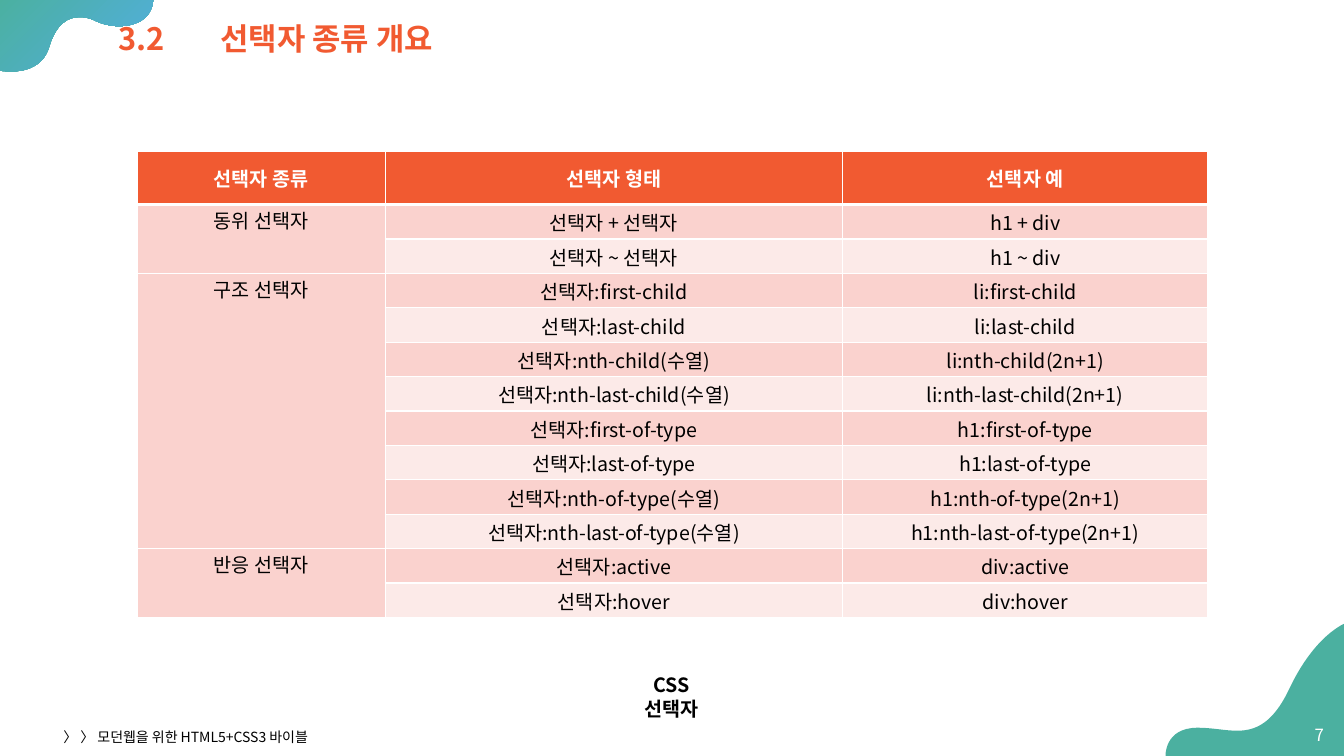
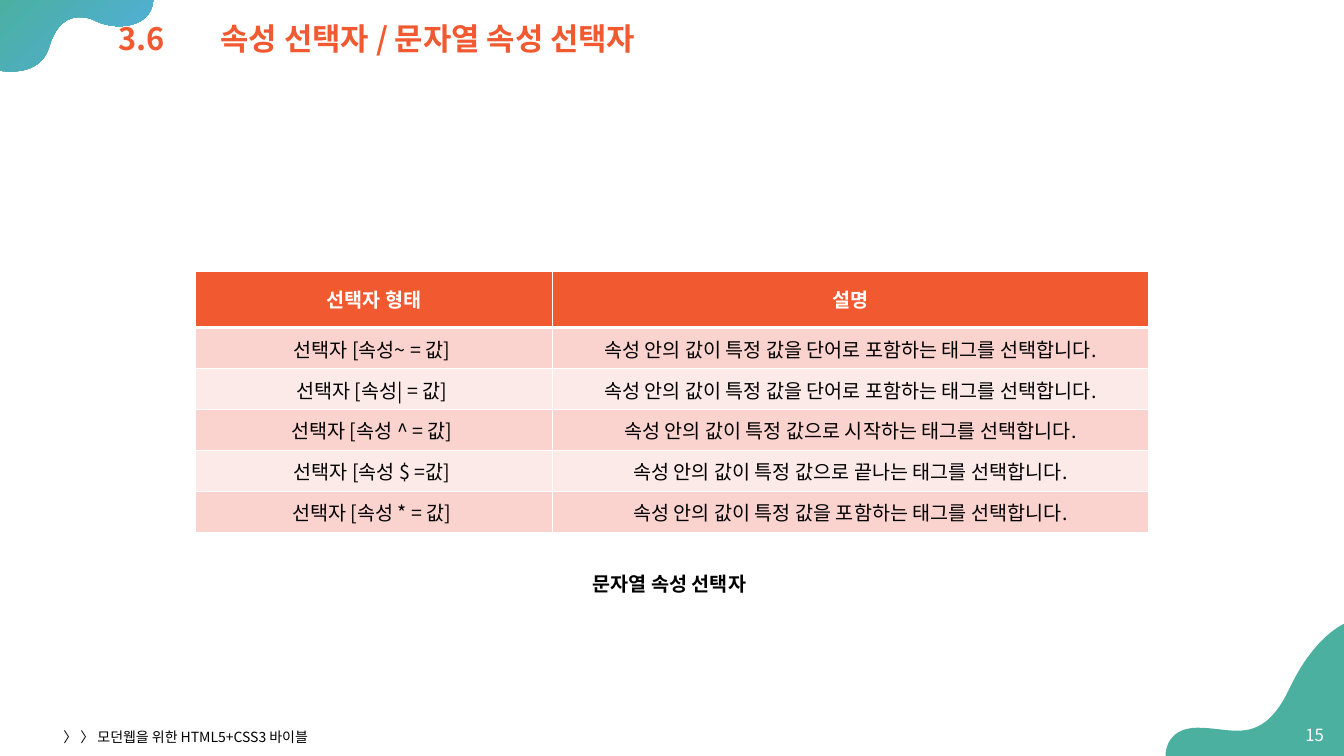
"""Builds two slides with tables of CSS selectors."""
from lxml import etree
from pptx import Presentation
from pptx import util as u
from pptx.dml.color import RGBColor
from pptx.enum import text
from pptx.oxml import ns

PX = 9144
FONT = "Noto Sans CJK KR"
ORANGE, WHITE, BLACK = "F15A31", "FFFFFF", "000000"
TEAL, BLUE = "4BB0A0", "52AEE1"
BANDS = ["FAD2CE", "FCEAE8"]
LEFT, CENTER, RIGHT = text.PP_ALIGN.LEFT, text.PP_ALIGN.CENTER, text.PP_ALIGN.RIGHT
TOP, MIDDLE = text.MSO_ANCHOR.TOP, text.MSO_ANCHOR.MIDDLE
FOOTER = "〉 〉 모던웹을 위한 HTML5+CSS3 바이블"
TITLE_TAB = 101

color = RGBColor.from_string

BLOBS = [
    ([TEAL, BLUE], (152, -2), [
        [(-1, -2)], [(-1, 70)],
        [(-1, 70), (4, 71), (11, 71)], [(24, 71), (43, 67), (49, 46)],
        [(56, 23), (68, 17), (79, 17)], [(84, 17), (89, 18), (93, 20)],
        [(101, 24), (110, 26), (118, 26)], [(137, 26), (152, 17), (152, -2)]]),
    ([TEAL], (1335, 618), [
        [(1335, 618), (1304, 629), (1278, 685)], [(1262, 718), (1245, 725), (1227, 725)],
        [(1215, 725), (1202, 722), (1188, 722)], [(1154, 722), (1156, 751), (1156, 751)],
        [(1335, 751)], [(1335, 618)]]),
]

SLIDES = [
    {
        "title": "3.2\t선택자 종류 개요",
        "number": "7",
        "caption": ("CSS 선택자", (616, 663, 100, 58)),
        "table": (136, 150, 463),
        "header": 53,
        "columns": [246, 454, 362],
        "spans": [(1, 2), (3, 10), (11, 12)],
        "rows": [
            ("선택자 종류", "선택자 형태", "선택자 예"),
            ("동위 선택자", "선택자 + 선택자", "h1 + div"),
            ("", "선택자 ~ 선택자", "h1 ~ div"),
            ("구조 선택자", "선택자:first-child", "li:first-child"),
            ("", "선택자:last-child", "li:last-child"),
            ("", "선택자:nth-child(수열)", "li:nth-child(2n+1)"),
            ("", "선택자:nth-last-child(수열)", "li:nth-last-child(2n+1)"),
            ("", "선택자:first-of-type", "h1:first-of-type"),
            ("", "선택자:last-of-type", "h1:last-of-type"),
            ("", "선택자:nth-of-type(수열)", "h1:nth-of-type(2n+1)"),
            ("", "선택자:nth-last-of-type(수열)", "h1:nth-last-of-type(2n+1)"),
            ("반응 선택자", "선택자:active", "div:active"),
            ("", "선택자:hover", "div:hover"),
        ],
    },
    {
        "title": "3.6\t속성 선택자 / 문자열 속성 선택자",
        "number": "15",
        "caption": ("문자열 속성 선택자", (564, 562, 200, 34)),
        "table": (194, 269, 259),
        "header": 56,
        "columns": [354, 591],
        "spans": [],
        "rows": [
            ("선택자 형태", "설명"),
            ("선택자 [속성~ = 값] ", "속성 안의 값이 특정 값을 단어로 포함하는 태그를 선택합니다."),
            ("선택자 [속성| = 값] ", "속성 안의 값이 특정 값을 단어로 포함하는 태그를 선택합니다."),
            ("선택자 [속성 ^ = 값] ", "속성 안의 값이 특정 값으로 시작하는 태그를 선택합니다."),
            ("선택자 [속성 $ =값] ", "속성 안의 값이 특정 값으로 끝나는 태그를 선택합니다."),
            ("선택자 [속성 * = 값] ", "속성 안의 값이 특정 값을 포함하는 태그를 선택합니다."),
        ],
    },
]


def write(frame, content, size, hue, bold=False, align=LEFT):
    """Put one styled paragraph into a text frame."""
    frame.text = content
    paragraph = frame.paragraphs[0]
    paragraph.alignment = align
    for run in paragraph.runs:
        run.font.name = FONT
        run.font.size = u.Pt(size)
        run.font.bold = bold
        run.font.color.rgb = color(hue)
        run.font._element.set("kern", "0")
        east_asian = etree.SubElement(run.font._element, ns.qn("a:ea"))
        east_asian.set("typeface", FONT)
    return paragraph


def add_border(cell, side, points):
    """Draw one white edge of a table cell."""
    line = etree.SubElement(cell._tc.get_or_add_tcPr(), ns.qn("a:ln" + side))
    line.set("w", str(u.Pt(points)))
    fill = etree.SubElement(line, ns.qn("a:solidFill"))
    etree.SubElement(fill, ns.qn("a:srgbClr")).set("val", WHITE)


presentation = Presentation()
presentation.slide_width = 1333 * PX
presentation.slide_height = 750 * PX

for page in SLIDES:
    slide = presentation.slides.add_slide(presentation.slide_layouts[6])

    for hues, start, segments in BLOBS:
        builder = slide.shapes.build_freeform(*start, scale=PX)
        builder.add_line_segments([point for segment in segments for point in segment])
        blob = builder.convert_to_shape()
        steps = iter(list(blob._element.iter(ns.qn("a:lnTo"))))
        for segment in segments:
            group = [next(steps) for point in segment]
            if len(group) == 3:
                group[0].tag = ns.qn("a:cubicBezTo")
                for step in group[1:]:
                    group[0].append(step[0])
                    step.getparent().remove(step)
        blob.shadow.inherit = False
        blob.line.fill.background()
        if len(hues) == 1:
            blob.fill.solid()
            blob.fill.fore_color.rgb = color(hues[0])
        else:
            blob.fill.gradient()
            blob.fill.gradient_angle = 315
            for stop, hue in zip(blob.fill.gradient_stops, hues):
                stop.color.rgb = color(hue)

    left, top, height = page["table"]
    columns, rows = page["columns"], page["rows"]
    table = slide.shapes.add_table(
        len(rows), len(columns), left * PX, top * PX, sum(columns) * PX, height * PX).table
    table.first_row = table.horz_banding = False
    for column, width in zip(table.columns, columns):
        column.width = width * PX
    body_height = (height - page["header"]) * PX // (len(rows) - 1)
    for r, labels in enumerate(rows):
        table.rows[r].height = body_height if r else page["header"] * PX
        for c, label in enumerate(labels):
            cell = table.cell(r, c)
            write(cell.text_frame, label, 14, BLACK if r else WHITE, r == 0, CENTER)
            cell.vertical_anchor = MIDDLE
            if r:
                cell.margin_left = cell.margin_right = cell.margin_top = PX
                cell.margin_bottom = 0
            for side in "LRTB":
                under_header = (r, side) in [(0, "B"), (1, "T")]
                add_border(cell, side, 3 if under_header else 1)
            cell.fill.solid()
            cell.fill.fore_color.rgb = color(BANDS[(r - 1) % 2] if r else ORANGE)
    for first, last in page["spans"]:
        table.cell(first, 0).merge(table.cell(last, 0))
        table.cell(first, 0).vertical_anchor = TOP
        table.cell(first, 0).fill.fore_color.rgb = color(BANDS[0])

    caption, caption_box = page["caption"]
    for content, box, anchor, size, hue, bold, align in [
        (page["title"], (108, 19, 1225, 43), MIDDLE, 22, ORANGE, True, LEFT),
        (caption, caption_box, TOP, 14, BLACK, True, CENTER),
        (page["number"], (1279, 709, 44, 40), MIDDLE, 12, WHITE, False, RIGHT),
        (FOOTER, (53, 719, 450, 24), MIDDLE, 10, BLACK, False, LEFT),
    ]:
        frame = slide.shapes.add_textbox(*(length * PX for length in box)).text_frame
        frame.word_wrap = True
        frame.vertical_anchor = anchor
        paragraph = write(frame, content, size, hue, bold, align)
        if content == page["title"]:
            paragraph.line_spacing = 0.9
            tabs = etree.SubElement(paragraph._p.get_or_add_pPr(), ns.qn("a:tabLst"))
            tab = etree.SubElement(tabs, ns.qn("a:tab"))
            tab.set("pos", str(TITLE_TAB * PX))
            tab.set("algn", "l")

presentation.save("out.pptx")
